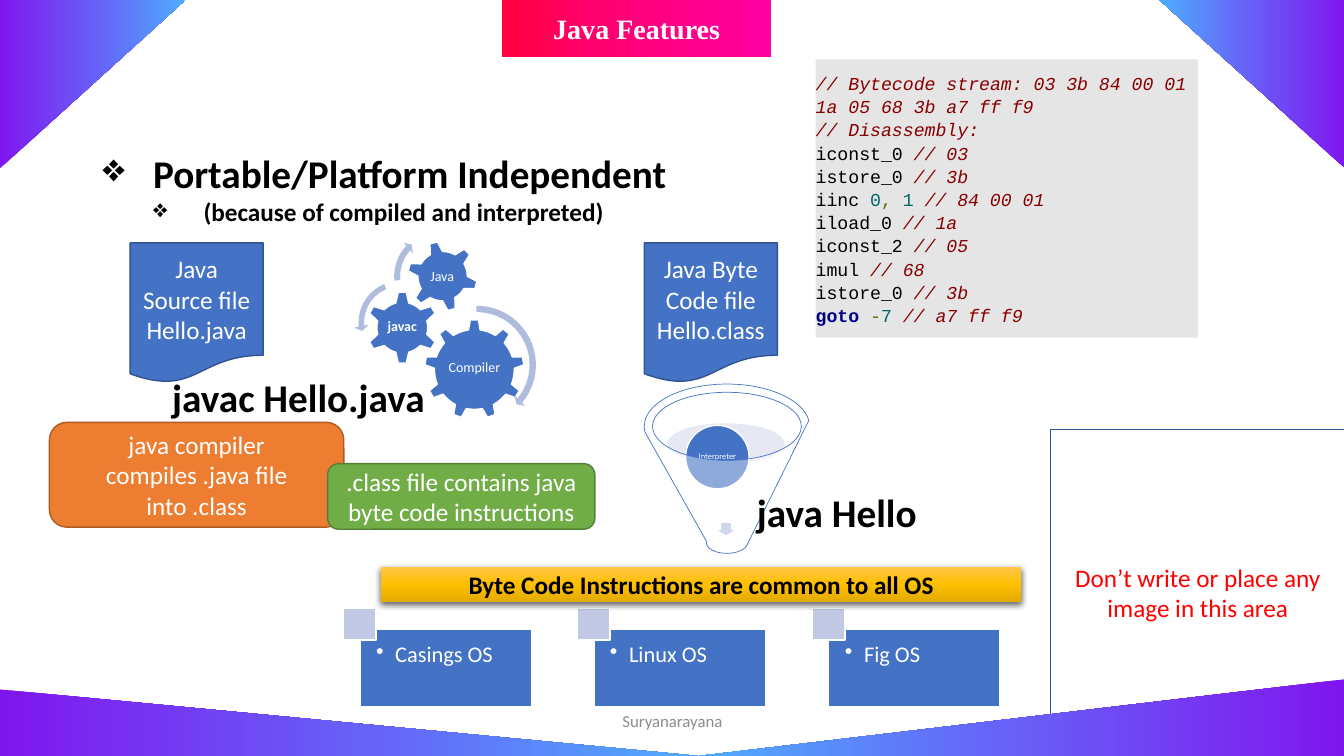
"""Build the Java Features slide: compile, interpret, run on every OS."""
from copy import deepcopy

from pptx import Presentation
from pptx.dml.color import RGBColor as Rgb
from pptx.enum.shapes import MSO_SHAPE as Kind
from pptx.enum.text import MSO_ANCHOR as Anchor, MSO_AUTO_SIZE as Auto, PP_ALIGN as Align
from pptx.oxml import parse_xml
from pptx.oxml.ns import nsdecls, qn
from pptx.util import Pt

PX = 9144


class Theme:
    white, black, red, grey = "FFFFFF", "000000", "FF0000", "8C8C8C"
    blue, navy, pale, mist = "4472C4", "325491", "B0BCDE", "C1C9E4"
    orange, rust, green, moss = "ED7D31", "AF5C24", "70AD47", "538035"
    panel, note, digit, sign, key = "E5E5E5", "880000", "006666", "666600", "000088"
    pink = [(2, "FF0040"), (37, "FF0071"), (99, "FF00A2")]
    sky = [(0, "8016EF"), (52, "6761F7"), (100, "4FACFE")]
    gold = [(0, "FFC64B"), (50, "FFC000"), (100, "E3AB00")]
    sans, serif, mono = "Calibri", "Times New Roman", "Courier New"
    big, title, body, card, code, foot, small, tiny = 28, 20, 18, 16, 13, 12, 10, 6


def draw(kind, box, fill=None, line=None, width=1, alpha=None, angle=0, turn=0, flip="", adj=()):
    """Add a shape, or a text box when kind is None, or restyle a given shape."""
    spot = [n * PX for n in box]
    if kind is None:
        return slide.shapes.add_textbox(*spot)
    if isinstance(kind, Kind):
        shape = slide.shapes.add_shape(kind, *spot)
        shape.shadow.inherit = False
    else:
        shape = kind
        shape.left, shape.top, shape.width, shape.height = spot
    props = shape._element.spPr
    if isinstance(fill, list):
        shape.fill.gradient()
        shape.fill.gradient_angle = angle
        stops = props.find(".//" + qn("a:gsLst"))
        stops.append(deepcopy(stops[0]))
        for stop, (place, tint) in zip(shape.fill.gradient_stops, fill):
            stop.position = place / 100
            stop.color.rgb = Rgb.from_string(tint)
    else:
        shape.fill.solid()
        shape.fill.fore_color.rgb = Rgb.from_string(fill)
    if alpha:
        tint = props.find(qn("a:solidFill"))[0]
        tint.append(parse_xml(f'<a:alpha {nsdecls("a")} val="{alpha * 1000}"/>'))
    if line:
        shape.line.color.rgb = Rgb.from_string(line)
        shape.line.width = Pt(width)
    else:
        shape.line.fill.background()
    shape.rotation = turn
    for axis in flip:
        props.xfrm.set("flip" + axis, "1")
    for i, value in enumerate(adj):
        shape.adjustments[i] = value
    return shape


def write(shape, *lines, size=Theme.body, font=Theme.sans, color=Theme.white, bold=False,
          align=Align.CENTER, anchor=Anchor.MIDDLE, pad=(10, 5, 10, 5), wrap=True,
          space=None, bullet=None, indent=0, level=0):
    """Append lines; each is a string or a list of (text, color, italic, bold) runs."""
    frame = shape.text_frame
    frame.auto_size, frame.word_wrap, frame.vertical_anchor = Auto.NONE, wrap, anchor
    frame.margin_left, frame.margin_top, frame.margin_right, frame.margin_bottom = [n * PX for n in pad]
    for line in lines:
        para = frame.add_paragraph() if frame.text else frame.paragraphs[0]
        para.alignment, para.level = align, level
        if space:
            para.line_spacing = space
        if bullet:
            props = para._p.get_or_add_pPr()
            props.set("marL", str(indent * (level + 1 if bullet == "❖" else 1) * PX))
            props.set("indent", str(-indent * PX))
            props.append(parse_xml(f'<a:buChar {nsdecls("a")} char="{bullet}"/>'))
        runs = [(line, color, False, bold)] if isinstance(line, str) else line
        for text, tint, slant, heavy in runs:
            run = para.add_run()
            run.text = text
            run.font.name, run.font.size = font, Pt(size)
            run.font.bold, run.font.italic = heavy, slant
            run.font.color.rgb = Rgb.from_string(tint)


deck = Presentation()
deck.slide_width, deck.slide_height = 1333 * PX, 750 * PX
slide = deck.slides.add_slide(deck.slide_layouts[5])

area = draw(Kind.RECTANGLE, (1042, 426, 292, 324), Theme.white, Theme.navy)
write(area, "Don’t write or place any image in this area", color=Theme.red)
head = draw(slide.shapes.title, (498, 0, 267, 57), Theme.pink)
write(head, "Java Features", size=Theme.title, font=Theme.serif, bold=True, pad=(5, 5, 5, 5))

for box, flip in [((0, 684, 693, 66), ""), ((0, 0, 184, 167), "V"),
                  ((693, 674, 640, 76), "H"), ((1150, 0, 184, 167), "HV")]:
    draw(Kind.RIGHT_TRIANGLE, box, Theme.sky, flip=flip)

points = draw(None, (92, 143, 671, 88))
style = dict(color=Theme.black, bold=True, align=Align.LEFT, anchor=Anchor.TOP, bullet="❖", indent=50)
write(points, "Portable/Platform Independent", size=Theme.big, **style)
write(points, "(because of compiled and interpreted)", level=1, **style)

for left, lines in [(129, ("Java Source file", "Hello.java")),
                    (639, ("Java Byte Code file", "Hello.class"))]:
    page = draw(Kind.FLOWCHART_DOCUMENT, (left, 241, 132, 139), Theme.blue, Theme.navy)
    write(page, *lines)

label = dict(pad=(1, 1, 1, 1), space=0.9)
for kind, box, turn, spot, text in [
        (Kind.GEAR_9, (421, 317, 99, 99), 0, (441, 340, 59, 51), "Compiler"),
        (Kind.GEAR_6, (363, 289, 72, 72), 0, (381, 307, 36, 35), "javac"),
        (Kind.GEAR_6, (404, 239, 70, 70), 345, (419, 255, 39, 39), "Java")]:
    draw(kind, box, Theme.blue, Theme.white, turn=turn)
    write(draw(None, spot), text, size=Theme.small, bold=text == "javac", **label)

for kind, box, adj in [
        (Kind.CIRCULAR_ARROW, (410, 299, 126, 126), (0.05, 2.99, 23.88, 161.72, 0.06)),
        (Kind.LEFT_CIRCULAR_ARROW, (351, 274, 92, 92), (0.06, 4.3, 104.89, 148.38, 0.08)),
        (Kind.CIRCULAR_ARROW, (387, 225, 99, 99), (0.06, 3.94, 133.14, 105.08, 0.07))]:
    draw(kind, box, Theme.pale, adj=adj)

draw(Kind.OVAL, (662, 420, 116, 40), Theme.mist, alpha=40)
draw(Kind.DOWN_ARROW, (709, 518, 22, 14), Theme.pale, Theme.white)
draw(Kind.OVAL, (680, 422, 63, 63), Theme.blue, Theme.white)
write(draw(None, (689, 431, 45, 45)), "Interpreter", size=Theme.tiny, **label)
draw(Kind.FUNNEL, (639, 381, 164, 168), Theme.white, Theme.blue, width=0.5, alpha=40)

for i, name in enumerate(["Casings OS", "Linux OS", "Fig OS"]):
    left = 357 + round(i * 232.5)
    card = draw(Kind.RECTANGLE, (left, 624, 170, 77), Theme.blue, Theme.white)
    write(card, name, size=Theme.card, align=Align.LEFT, anchor=Anchor.TOP,
          pad=(16, 14, 16, 16), space=0.9, bullet="•", indent=19, level=1)
    draw(Kind.RECTANGLE, (left - 16, 603, 32, 32), Theme.mist, Theme.white)

for box, fill, line, side, text in [
        ((49, 419, 292, 104), Theme.orange, Theme.rust, 45,
         "java compiler compiles .java file into .class"),
        ((325, 460, 265, 65), Theme.green, Theme.moss, 10,
         ".class file contains java byte code instructions")]:
    write(draw(Kind.ROUNDED_RECTANGLE, box, fill, line), text, pad=(side, 5, side, 5))

bar = draw(Kind.RECTANGLE, (378, 562, 635, 35), Theme.gold, angle=270)
write(bar, "Byte Code Instructions are common to all OS", color=Theme.black, bold=True)
bar._element.spPr.find(qn("a:effectLst")).append(parse_xml(
    f'<a:outerShdw {nsdecls("a")} blurRad="{Pt(4.5)}" dist="{Pt(1.5)}" dir="5400000" rotWithShape="0">'
    f'<a:srgbClr val="{Theme.black}"><a:alpha val="63000"/></a:srgbClr></a:outerShdw>'))

code = draw(Kind.RECTANGLE, (809, 59, 379, 276), Theme.panel)
rows = [[("// Bytecode stream: 03 3b 84 00 01 1a 05 68 3b a7 ff f9", Theme.note)],
        [("// Disassembly:", Theme.note)],
        [("iconst_0 ", Theme.black), ("// 03", Theme.note)],
        [("istore_0 ", Theme.black), ("// 3b", Theme.note)],
        [("iinc ", Theme.black), ("0", Theme.digit), (", ", Theme.sign),
         ("1 ", Theme.digit), ("// 84 00 01", Theme.note)],
        [("iload_0 ", Theme.black), ("// 1a", Theme.note)],
        [("iconst_2 ", Theme.black), ("// 05", Theme.note)],
        [("imul ", Theme.black), ("// 68", Theme.note)],
        [("istore_0 ", Theme.black), ("// 3b", Theme.note)],
        [("goto ", Theme.key), ("-", Theme.sign), ("7 ", Theme.digit), ("// a7 ff f9", Theme.note)]]
write(code, *[[(text, tint, tint == Theme.note, tint == Theme.key) for text, tint in row] for row in rows],
      size=Theme.code, font=Theme.mono, align=Align.LEFT, pad=(0, 17, 0, 17), space=1.06)

write(draw(None, (442, 695, 450, 40)), "Suryanarayana", size=Theme.foot, color=Theme.grey)
for box, text in [((741, 480, 180, 57), "java Hello"), ((161, 365, 274, 57), "javac Hello.java")]:
    write(draw(None, box), text, size=Theme.big, color=Theme.black, bold=True,
          align=Align.LEFT, anchor=Anchor.TOP, wrap=False)

deck.save("out.pptx")
